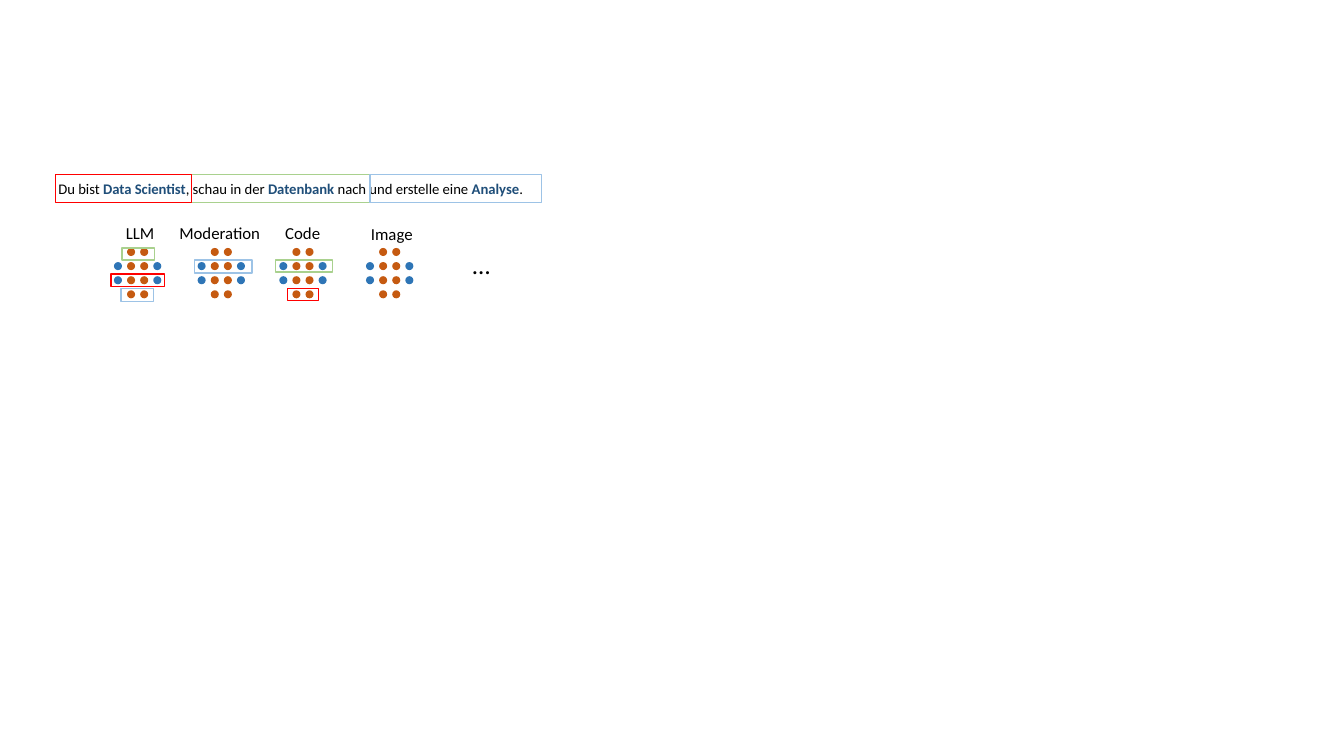
"""Build a slide that maps parts of a prompt to expert networks."""
from dataclasses import dataclass

from pptx import Presentation
from pptx.dml.color import RGBColor as RGB
from pptx.enum.shapes import MSO_SHAPE as SHAPE
from pptx.enum.text import MSO_AUTO_SIZE as AUTO
from pptx.util import Emu, Pt

PX = 9144


@dataclass(frozen=True)
class Theme:
    """Colours, type sizes and line width of the slide."""
    font: str = "Calibri"
    ink: str = "000000"
    accent: str = "1F4E79"
    inner: str = "C55A11"
    outer: str = "2E75B6"
    green: str = "A9D18E"
    red: str = "FF0000"
    blue: str = "9DC3E6"
    prompt: float = 10.5
    label: float = 12
    dots: float = 18
    line: float = 1


T = Theme()

PROMPT = [
    ("Du bist ", False),
    ("Data Scientist", True),
    (", schau in der ", False),
    ("Datenbank", True),
    (" nach und erstelle eine ", False),
    ("Analyse", True),
    (".", False),
]
EXPERTS = [
    ("LLM", 113, (115, 216, 48, 30)),
    ("Moderation", 196, (168, 216, 101, 30)),
    ("Code", 277, (273, 216, 55, 30)),
    ("Image", 363, (358, 217, 62, 30)),
]
FRAMES = [
    (T.green, [(190, 173, 177, 28), (121, 246, 32, 12), (273, 258, 57, 12)]),
    (T.red, [(55, 173, 135, 28), (110, 272, 53, 12), (285, 286, 31, 12)]),
    (T.blue, [(367, 173, 170, 28), (193, 258, 57, 13), (120, 286, 32, 13)]),
]


def px(*lengths):
    """Turn px lengths into EMU."""
    return [Emu(n * PX) for n in lengths]


def add_text(slide, box, runs, size):
    """Add one line of text, with emphasised runs bold and blue."""
    tf = slide.shapes.add_textbox(*px(*box)).text_frame
    tf.word_wrap = False
    tf.auto_size = AUTO.SHAPE_TO_FIT_TEXT
    p = tf.paragraphs[0]
    p.font.name = T.font
    p.font.size = Pt(size)
    for text, strong in runs:
        r = p.add_run()
        r.text = text
        r.font.bold = strong
        r.font.color.rgb = RGB.from_string(T.accent if strong else T.ink)


def add_dot(slide, left, top, color):
    """Add one neuron."""
    sp = slide.shapes.add_shape(SHAPE.OVAL, *px(left, top, 8, 8))
    sp.shadow.inherit = False
    sp.fill.solid()
    sp.fill.fore_color.rgb = RGB.from_string(color)
    sp.line.fill.background()


def add_network(slide, left, top=246, col_step=13, row_step=14):
    """Add a network of four rows whose outer columns lack their ends."""
    for col in range(4):
        edge = col in (0, 3)
        for row in (1, 2) if edge else range(4):
            add_dot(slide, left + col * col_step, top + row * row_step,
                    T.outer if edge else T.inner)


def add_frame(slide, box, color):
    """Add an unfilled rectangle."""
    sp = slide.shapes.add_shape(SHAPE.RECTANGLE, *px(*box))
    sp.shadow.inherit = False
    sp.fill.background()
    sp.line.color.rgb = RGB.from_string(color)
    sp.line.width = Pt(T.line)


def main():
    """Build and save the slide."""
    prs = Presentation()
    prs.slide_width, prs.slide_height = px(1333, 750)
    s = prs.slides.add_slide(prs.slide_layouts[6])
    for name, left, box in EXPERTS:
        add_network(s, left)
        add_text(s, box, [(name, False)], T.label)
    add_text(s, (48, 173, 489, 28), PROMPT, T.prompt)
    for color, boxes in FRAMES:
        for box in boxes:
            add_frame(s, box, color)
    add_text(s, (459, 242, 38, 40), [("…", False)], T.dots)
    prs.save("out.pptx")


if __name__ == "__main__":
    main()
